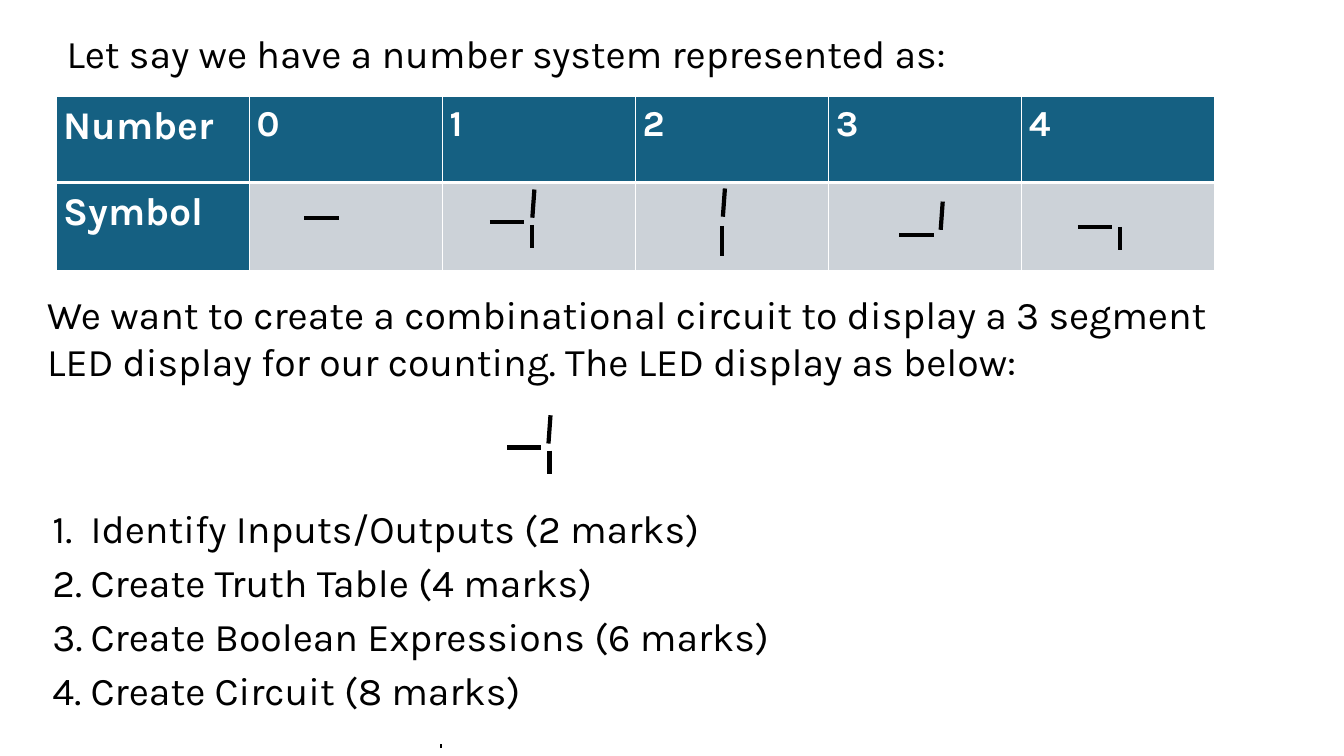
import pptx
import pptx.dml.color
import pptx.enum.shapes
import pptx.enum.text
import pptx.oxml
import pptx.oxml.ns
import pptx.util
from pptx.util import Inches

RGBColor = pptx.dml.color.RGBColor
BLACK = RGBColor(0x00, 0x00, 0x00)
WHITE = RGBColor(0xFF, 0xFF, 0xFF)
TEAL = RGBColor(0x15, 0x60, 0x82)
GREY = RGBColor(0xCC, 0xD2, 0xD8)
FONT = "Karla"
NS = pptx.oxml.ns.nsdecls("a")

NUMBERS = ["Number", "0", "1", "2", "3", "4"]
TASKS = [
    "Identify Inputs/Outputs (2 marks)",
    "Create Truth Table (4 marks)",
    "Create Boolean Expressions (6 marks)",
    "Create Circuit (8 marks)",
]

# Width and height of each kind of LED segment
SEGMENTS = {"dash": (0.34, 0), "upper": (-0.02, 0.28),
            "lower": (0, 0.23), "long": (0, 0.3)}
# Segment starts for the symbols 0 to 4
SYMBOLS = [
    [("dash", 3.02, 2.16)],
    [("dash", 4.86, 2.2), ("upper", 5.3, 1.88), ("lower", 5.28, 2.23)],
    [("upper", 7.19, 1.87), ("long", 7.16, 2.24)],
    [("dash", 8.92, 2.33), ("upper", 9.35, 2.0)],
    [("dash", 10.69, 2.25), ("lower", 11.11, 2.25)],
]
DISPLAY = [("dash", 5.03, 4.44), ("upper", 5.46, 4.12), ("lower", 5.45, 4.47)]


def place(sp, left, top, width, height):
    box = {"left": left, "top": top, "width": width, "height": height}
    for name, value in box.items():
        setattr(sp, name, Inches(value))


def write(p, text, size=28, color=BLACK, bold=False):
    r = p.add_run()
    r.text = text
    formats = {"name": FONT, "size": pptx.util.Pt(size), "bold": bold}
    for name, value in formats.items():
        setattr(r.font, name, value)
    r.font.color.rgb = color


def set_frame(tf, anchor):
    formats = {"word_wrap": True, "vertical_anchor": anchor,
               "auto_size": pptx.enum.text.MSO_AUTO_SIZE.SHAPE_TO_FIT_TEXT}
    for name, value in formats.items():
        setattr(tf, name, value)


def add_sentence(sp, text, anchor):
    set_frame(sp.text_frame, anchor)
    p = sp.text_frame.paragraphs[0]
    p.alignment = pptx.enum.text.PP_ALIGN.LEFT
    write(p, text)


def add_numbered_list(sp, items):
    tf = sp.text_frame
    set_frame(tf, pptx.enum.text.MSO_ANCHOR.TOP)
    for i, item in enumerate(items):
        p = tf.paragraphs[0] if i == 0 else tf.add_paragraph()
        last = i == len(items) - 1
        formats = {"line_spacing": 1.15, "space_before": pptx.util.Pt(0),
                   "space_after": pptx.util.Pt(8 if last else 0)}
        for name, value in formats.items():
            setattr(p, name, value)
        write(p, item)
        pPr = p._p.get_or_add_pPr()
        pPr.set("marL", str(Inches(0.38)))
        pPr.set("indent", str(Inches(-0.38)))
        for xml in (f'<a:buFont {NS} typeface="{FONT}"/>',
                    f'<a:buAutoNum {NS} type="arabicPeriod"/>'):
            pPr.append(pptx.oxml.parse_xml(xml))


def set_borders(cell, bottom):
    tcPr = cell._tc.get_or_add_tcPr()
    widths = {"lnL": 1, "lnR": 1, "lnT": 1, "lnB": bottom}
    for i, (side, width) in enumerate(widths.items()):
        tcPr.insert(i, pptx.oxml.parse_xml(
            f'<a:{side} {NS} w="{pptx.util.Pt(width)}"><a:solidFill>'
            f'<a:srgbClr val="{WHITE}"/></a:solidFill></a:{side}>'))


def add_number_table(s):
    rows = [NUMBERS, ["Symbol"] + [""] * len(SYMBOLS)]
    table = s.shapes.add_table(len(rows), len(NUMBERS), Inches(0.56), Inches(0.96),
                               Inches(11.49), Inches(1.72)).table
    for row, height in zip(table.rows, (0.85, 0.87)):
        row.height = Inches(height)
    for i, texts in enumerate(rows):
        for j, text in enumerate(texts):
            cell = table.cell(i, j)
            margins = {"margin_left": 0.07, "margin_top": 0,
                       "margin_right": 0.07, "margin_bottom": 0}
            for name, value in margins.items():
                setattr(cell, name, Inches(value))
            cell.fill.solid()
            cell.fill.fore_color.rgb = TEAL if text else GREY
            set_borders(cell, bottom=3 if i == 0 else 1)
            if text:
                p = cell.text_frame.paragraphs[0]
                p.line_spacing = 1.15
                write(p, text, 28 if j == 0 else 26, WHITE, bold=True)


def add_line(s, x, y, dx, dy):
    line = s.shapes.add_connector(
        pptx.enum.shapes.MSO_CONNECTOR.STRAIGHT,
        Inches(x), Inches(y), Inches(x + dx), Inches(y + dy))
    line.line.color.rgb = BLACK
    line.line.width = pptx.util.Pt(3)
    line._element.spPr.append(pptx.oxml.parse_xml(f"<a:effectLst {NS}/>"))


def add_symbol(s, segments):
    for kind, x, y in segments:
        add_line(s, x, y, *SEGMENTS[kind])


def main():
    prs = pptx.Presentation()
    prs.slide_width, prs.slide_height = Inches(13.33), Inches(7.5)
    s = prs.slides.add_slide(prs.slide_layouts[1])
    anchors = pptx.enum.text.MSO_ANCHOR

    # Opening sentence
    title = s.shapes.title
    place(title, 0.56, 0.24, 9.18, 0.57)
    add_sentence(title, "Let say we have a number system represented as:", anchors.TOP)

    # Number system table with its symbols
    add_number_table(s)
    for symbol in SYMBOLS:
        add_symbol(s, symbol)

    # Short mark at the bottom edge
    add_line(s, 4.38, 7.4, -0.02, 0)

    # Circuit description and LED display
    sp = s.shapes.add_textbox(Inches(0.37), Inches(2.83), Inches(12.17), Inches(1.04))
    add_sentence(sp, "We want to create a combinational circuit to display a 3 segment "
                 "LED display for our counting. The LED display as below:", anchors.MIDDLE)
    add_symbol(s, DISPLAY)

    # Tasks
    body = s.placeholders[1]
    place(body, 0.42, 4.88, 9.45, 2.24)
    add_numbered_list(body, TASKS)

    prs.save("out.pptx")


if __name__ == "__main__":
    main()
